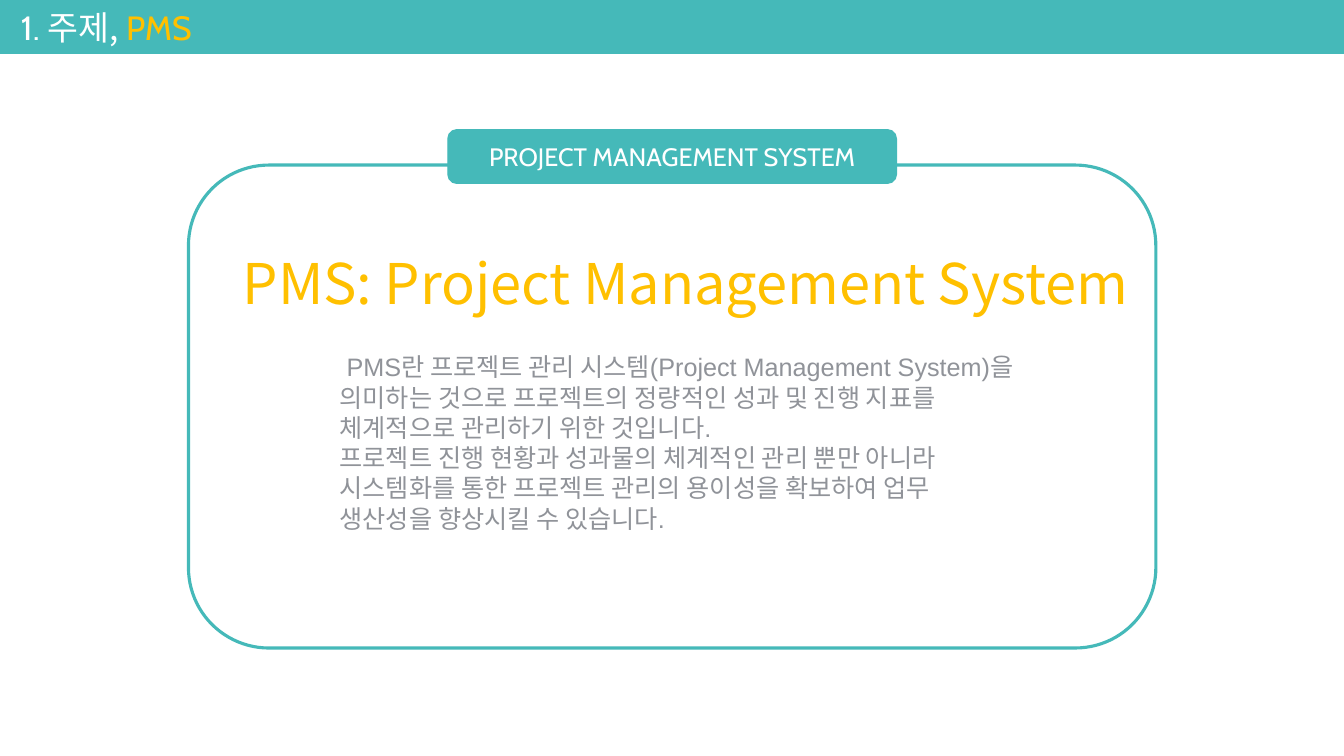
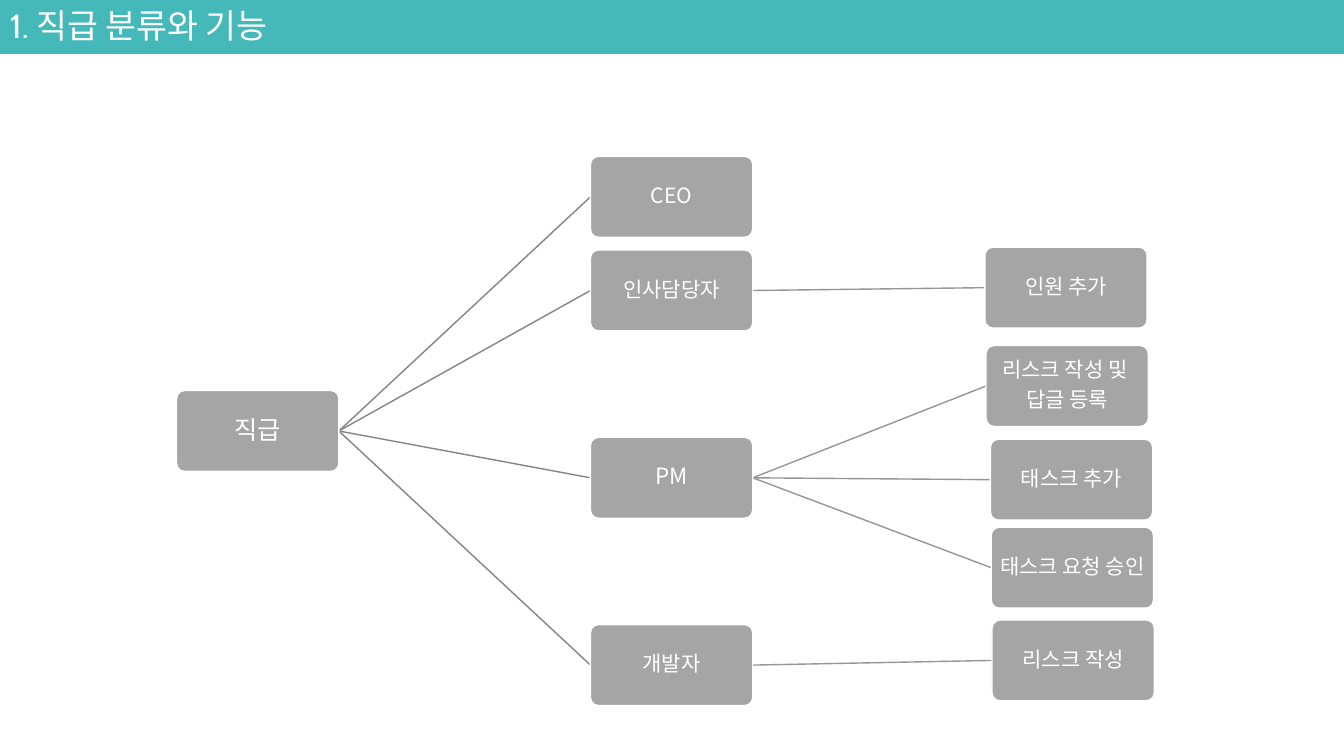
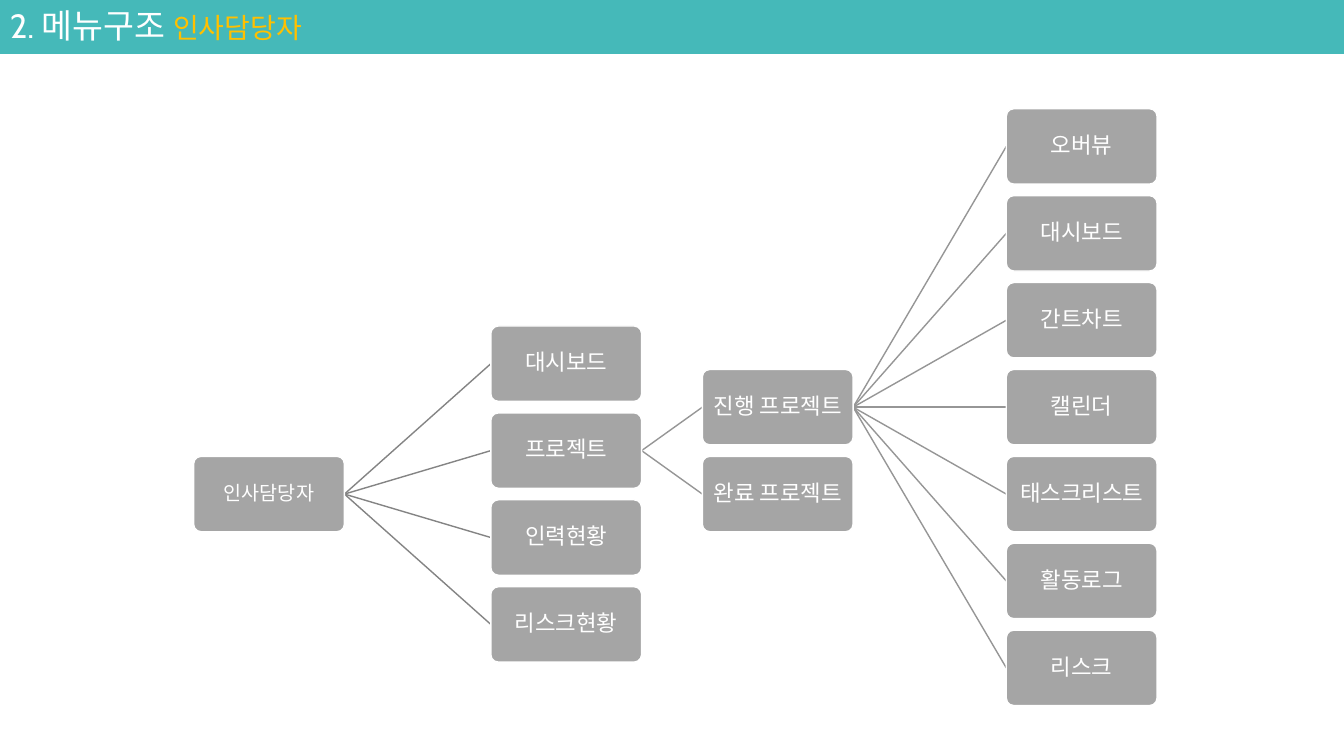
from dataclasses import dataclass

from lxml.etree import SubElement
from pptx import Presentation
from pptx.dml.color import RGBColor
from pptx.enum.shapes import MSO_CONNECTOR as CONNECTOR, MSO_SHAPE as SHAPE
from pptx.enum.text import MSO_ANCHOR as ANCHOR, PP_ALIGN as ALIGN
from pptx.oxml.ns import qn
from pptx.util import Cm, Pt

TEAL = RGBColor(0x45, 0xB9, 0xB9)
GOLD = RGBColor(0xFF, 0xC0, 0x00)
WHITE = RGBColor(0xFF, 0xFF, 0xFF)
BOX_GRAY = RGBColor(0xA5, 0xA5, 0xA5)
TEXT_GRAY = RGBColor(0x90, 0x93, 0x99)
FIRST_LINK = RGBColor(0x84, 0x84, 0x84)
LATER_LINK = RGBColor(0x96, 0x96, 0x96)
CABIN, ARIAL, NOTO = "Cabin", "Arial", "Noto Sans CJK KR"
SLIDE_WIDTH, SLIDE_HEIGHT, BAND_HEIGHT = 33.87, 19.05, 1.35


@dataclass
class Node:
    """One box of a tree, with its column position and its row."""
    text: str
    left: float
    row: float
    size: int = 16
    children: tuple = ()


@dataclass
class Grid:
    """The top, row step and box size that a tree uses."""
    top: float
    step: float
    width: float
    height: float

    def middle(self, node):
        """Return the vertical centre of a node."""
        return self.top + node.row * self.step + self.height / 2


def write(paragraph, text, size=18, font=NOTO, color=WHITE):
    """Add a formatted run to a paragraph."""
    run = paragraph.add_run()
    run.text = text
    run.font.size = Pt(size)
    run.font.name = font
    run.font.color.rgb = color
    SubElement(run.font._element, qn("a:ea"), typeface=NOTO)


def write_lines(frame, lines, align=ALIGN.LEFT, spacing=None, after=None, **style):
    """Fill a text frame with one paragraph for each line."""
    for index, line in enumerate(lines):
        paragraph = frame.add_paragraph() if index else frame.paragraphs[0]
        paragraph.alignment = align
        paragraph.line_spacing = spacing
        paragraph.space_after = after
        write(paragraph, line, **style)


def add_frame(slide, left, top, width, height):
    """Add a wrapping text box and return its frame."""
    frame = slide.shapes.add_textbox(Cm(left), Cm(top), Cm(width), Cm(height)).text_frame
    frame.word_wrap = True
    return frame


def add_box(slide, kind, left, top, width, height, fill=TEAL, line=TEAL, weight=1):
    """Add a filled preset shape with its text centred vertically."""
    shape = slide.shapes.add_shape(kind, Cm(left), Cm(top), Cm(width), Cm(height))
    shape.shadow.inherit = False
    shape.fill.solid()
    shape.fill.fore_color.rgb = fill
    shape.line.color.rgb = line
    shape.line.width = Pt(weight)
    shape.text_frame.word_wrap = True
    shape.text_frame.vertical_anchor = ANCHOR.MIDDLE
    return shape


def add_link(slide, start, end, color):
    """Draw a straight line between two points."""
    points = [Cm(value) for value in (*start, *end)]
    link = slide.shapes.add_connector(CONNECTOR.STRAIGHT, *points)
    link.line.color.rgb = color
    link.line.width = Pt(1)
    SubElement(link._element.spPr, qn("a:effectLst"))


def add_page(presentation, title, left=0, top=0):
    """Add a blank slide with the top band and a title made of runs."""
    slide = presentation.slides.add_slide(presentation.slide_layouts[6])
    add_box(slide, SHAPE.RECTANGLE, 0, 0, SLIDE_WIDTH, BAND_HEIGHT)
    paragraph = add_frame(slide, left, top, 9.3, 1.28).paragraphs[0]
    for text, style in title:
        write(paragraph, text, **{"size": 24, "font": CABIN, **style})
    return slide


def add_topic_panel(slide, left, top, width, height):
    """Draw the outlined panel with its label, heading and description."""
    add_box(slide, SHAPE.ROUNDED_RECTANGLE, left, top, width, height, fill=WHITE, weight=2.25)
    label_width = 11.3
    label = add_box(slide, SHAPE.ROUNDED_RECTANGLE, left + (width - label_width) / 2,
                    top - 0.89, label_width, BAND_HEIGHT)
    write_lines(label.text_frame, ["PROJECT MANAGEMENT SYSTEM"], ALIGN.CENTER, font=CABIN)
    heading = add_frame(slide, left + 1, top + 1.98, 23.37, 1.96)
    write_lines(heading, ["PMS: Project Management System "], ALIGN.CENTER, size=40, color=GOLD)
    description = add_frame(slide, left + 3.56, top + 4.58, 17.73, 4.88)
    write_lines(description, [
        " PMS란 프로젝트 관리 시스템(Project Management System)을 의미하는 것으로 "
        "프로젝트의 정량적인 성과 및 진행 지표를 체계적으로 관리하기 위한 것입니다.",
        "프로젝트 진행 현황과 성과물의 체계적인 관리 뿐만 아니라 시스템화를 통한 "
        "프로젝트 관리의 용이성을 확보하여 업무 생산성을 향상시킬 수 있습니다.",
    ], font=ARIAL, color=TEXT_GRAY)


def add_tree(slide, grid, node, link_color=FIRST_LINK):
    """Draw a node, its links and, in turn, all its children."""
    middle = grid.middle(node)
    for child in node.children:
        add_link(slide, (node.left + grid.width, middle),
                 (child.left, grid.middle(child)), link_color)
        add_tree(slide, grid, child, LATER_LINK)
    box = add_box(slide, SHAPE.ROUNDED_RECTANGLE, node.left, middle - grid.height / 2,
                  grid.width, grid.height, fill=BOX_GRAY, line=WHITE)
    box.adjustments[0] = 0.1
    frame = box.text_frame
    frame.margin_left = frame.margin_right = frame.margin_top = frame.margin_bottom = Cm(0.03)
    write_lines(frame, node.text.split("\n"), ALIGN.CENTER, spacing=0.9,
                after=Pt(round(node.size * 0.35)), size=node.size)


def build_topic(presentation):
    """Build the slide that explains the topic."""
    slide = add_page(presentation, [("1. ", {}), ("주제,", {"font": NOTO}),
                                    (" PMS", {"color": GOLD})], 0.28, 0.05)
    add_topic_panel(slide, 4.75, 4.16, 24.38, 12.17)


def build_roles(presentation):
    """Build the slide with the tree of roles and functions."""
    slide = add_page(presentation, [("1. 직급 분류와 기능", {})])
    role_left = 14.88
    add_tree(slide, Grid(3.94, 2.36, 4.09, 2.04), Node("직급", 4.45, 2.5, 18, (
        Node("CEO", role_left, 0, 15),
        Node("인사담당자", role_left, 1, 15, (Node("인원 추가", 24.82, 0.97, 15),)),
        Node("PM", role_left, 3, 16, (
            Node("리스크 작성 및 \n답글 등록", 24.85, 2.02, 15),
            Node("태스크 추가", 24.96, 3.02, 15),
            Node("태스크 요청 승인", 24.98, 3.96, 15))),
        Node("개발자", role_left, 5, 15, (Node("리스크 작성", 25, 4.95, 15),)))))


def build_menu(presentation):
    """Build the slide with the menu tree of the personnel manager."""
    slide = add_page(presentation, [("2. 메뉴구조 ", {}),
                                    ("인사담당자", {"size": 20, "color": GOLD})])
    menu_left, project_left, view_left = 12.37, 17.7, 25.36
    views = ("오버뷰", "대시보드", "간트차트", "캘린더", "태스크리스트", "활동로그", "리스크")
    projects = (
        Node("진행 프로젝트", project_left, 3,
             children=tuple(Node(view, view_left, row) for row, view in enumerate(views))),
        Node("완료 프로젝트", project_left, 4))
    add_tree(slide, Grid(2.74, 2.19, 3.8, 1.9), Node("인사담당자", 4.88, 4, 14, (
        Node("대시보드", menu_left, 2.5),
        Node("프로젝트", menu_left, 3.5, children=projects),
        Node("인력현황", menu_left, 4.5),
        Node("리스크현황", menu_left, 5.5))))


def main():
    """Build and save the presentation."""
    presentation = Presentation()
    presentation.slide_width = Cm(SLIDE_WIDTH)
    presentation.slide_height = Cm(SLIDE_HEIGHT)
    for build in (build_topic, build_roles, build_menu):
        build(presentation)
    presentation.save("out.pptx")


if __name__ == "__main__":
    main()
